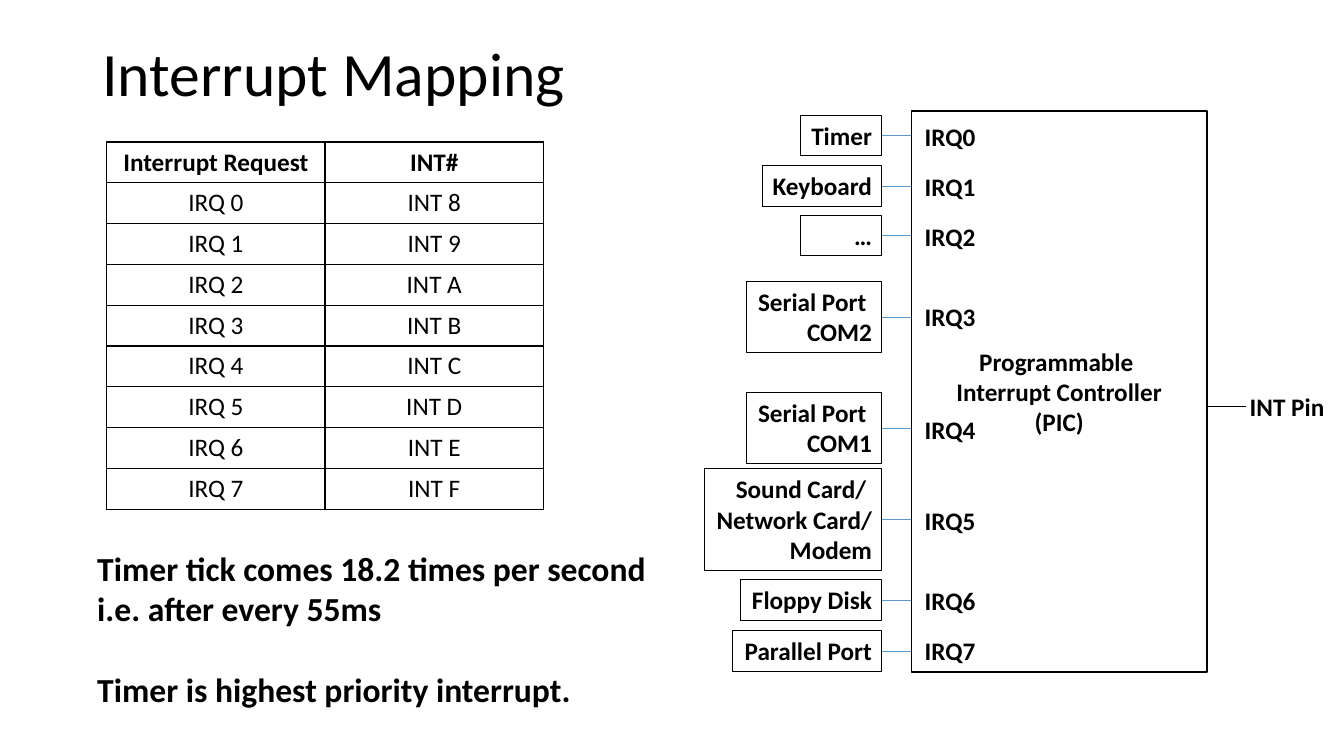
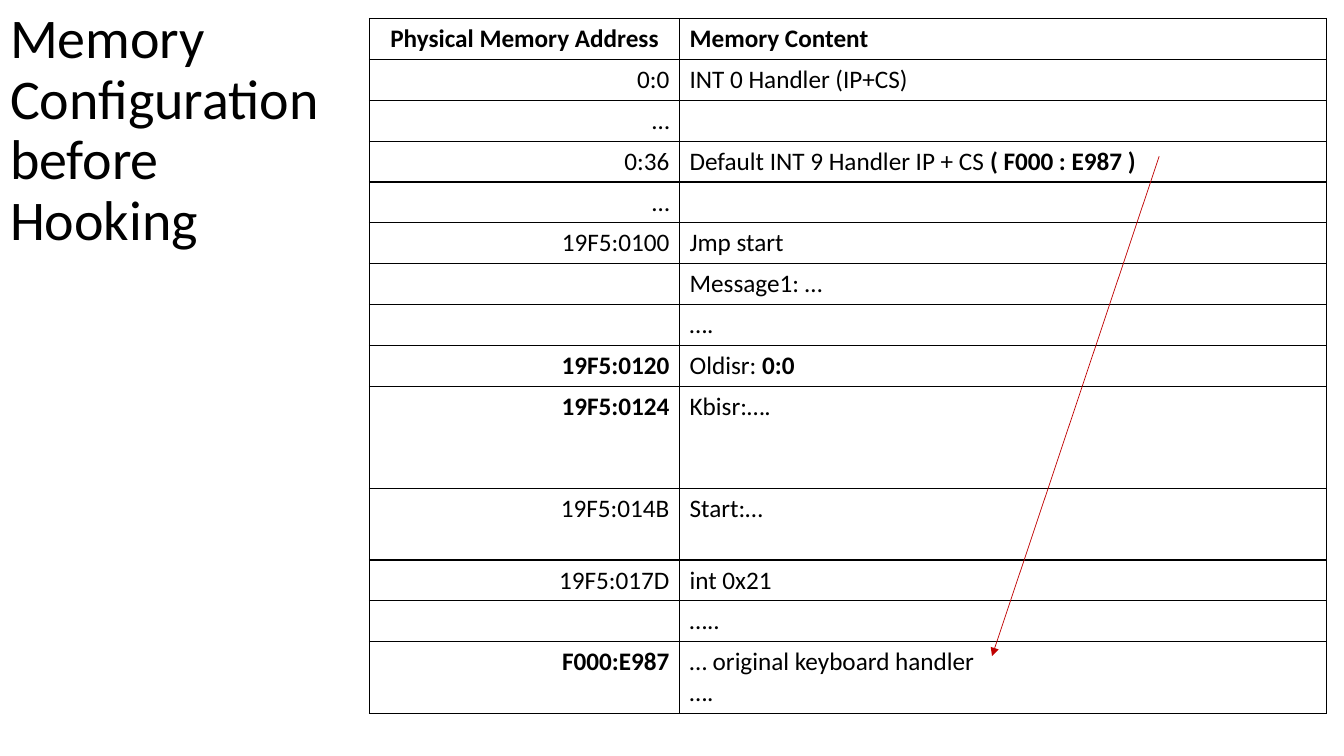
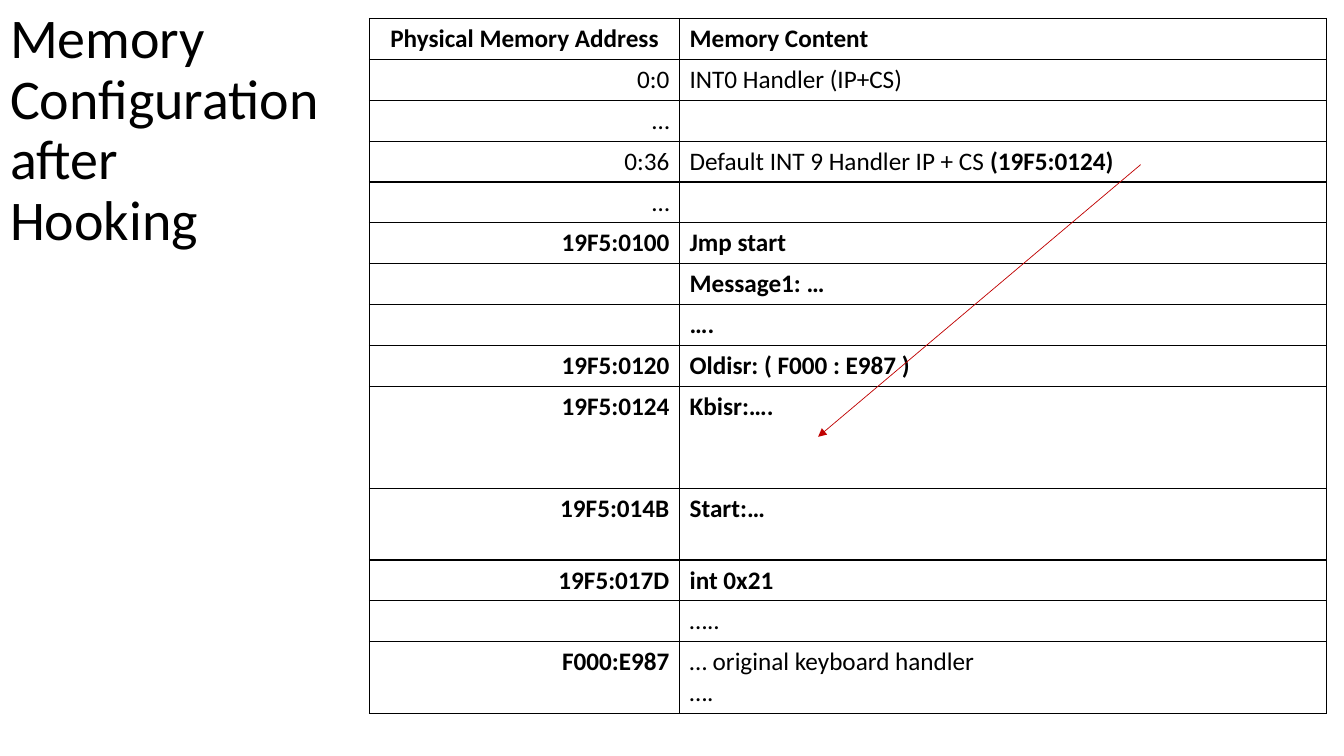
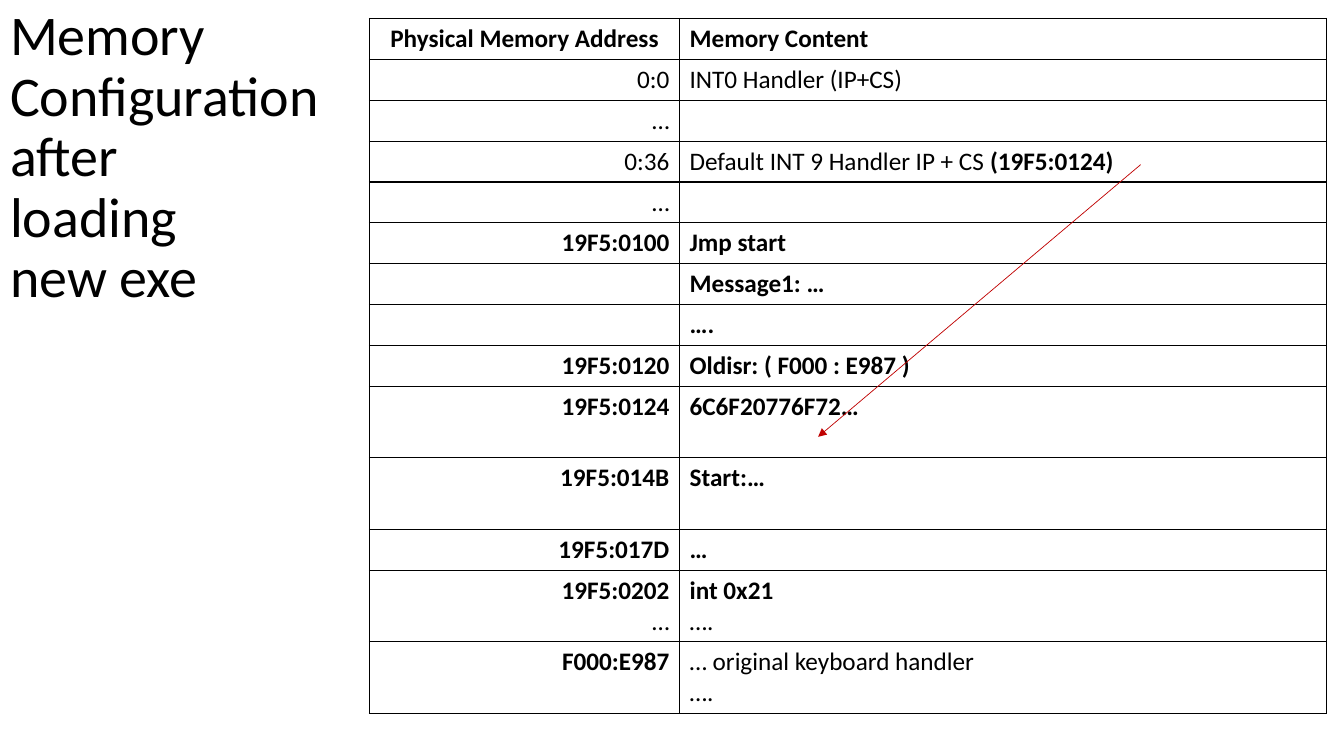
"""Build four slides on interrupt mapping and keyboard hooking."""
from dataclasses import dataclass
from typing import NamedTuple

from pptx import Presentation
from pptx.dml.color import RGBColor as Rgb
from pptx.enum.shapes import MSO_CONNECTOR as Link, MSO_SHAPE as Form
from pptx.enum.text import MSO_ANCHOR as Anchor, MSO_AUTO_SIZE as Fit, PP_ALIGN as Align
from pptx.oxml.ns import qn
from pptx.util import Emu, Inches, Pt
from lxml.etree import SubElement as Sub

INK = {"text": "000000", "paper": "FFFFFF", "wire": "5B9BD5", "jump": "C00000"}
FONT = "Calibri"
WIDE, HIGH = Inches(13.333), Inches(7.5)
COLS, ROWS = 160, 90
LINE, ONE = 3.65, 4.86
EDGE = 105
SIDES = ("a:lnL", "a:lnR", "a:lnT", "a:lnB")


class Area(NamedTuple):
    left: float
    top: float
    width: float
    height: float


class Spot(NamedTuple):
    col: float
    row: float


@dataclass
class Port:
    text: str
    width: float
    top: float
    mark: float


@dataclass
class Row:
    left: str
    right: str
    lines: int = 1


@dataclass
class Page:
    title: str
    height: float
    rows: list[Row]
    start: Spot
    end: Spot


def across(cols: float) -> Emu:
    return Emu(round(WIDE * cols / COLS))


def down(rows: float) -> Emu:
    return Emu(round(HIGH * rows / ROWS))


def place(area: Area) -> tuple:
    return across(area.left), down(area.top), across(area.width), down(area.height)


def tall(lines: int) -> float:
    return ONE + LINE * (lines - 1)


def style(para, size: float, align=Align.LEFT) -> None:
    para.alignment = align
    font = para.font
    font.name, font.size = FONT, Pt(size)
    font.color.rgb = Rgb.from_string(INK["text"])


def write(frame, text: str, size: float = 18, align=Align.LEFT) -> None:
    for num, line in enumerate(text.split("\n")):
        para = frame.paragraphs[0] if num == 0 else frame.add_paragraph()
        style(para, size, align)
        parts = [(part, odd % 2 == 1) for odd, part in enumerate(line.split("*")) if part]
        for part, bold in parts:
            run = para.add_run()
            run.text = part
            if len(parts) > 1:
                run.font.bold = bold
        if len(parts) == 1:
            para.font.bold = parts[0][1]


def bold(text: str) -> str:
    return "\n".join(f"*{line}*" for line in text.split("\n"))


def label(slide, area: Area, text: str, size: float = 18, align=Align.LEFT):
    box = slide.shapes.add_textbox(*place(area))
    frame = box.text_frame
    frame.word_wrap = False
    frame.auto_size = Fit.SHAPE_TO_FIT_TEXT
    write(frame, bold(text), size, align)
    return box


def outline(shape, width: float) -> None:
    shape.line.color.rgb = Rgb.from_string(INK["text"])
    shape.line.width = Pt(width)


def wire(slide, start: Spot, end: Spot, tone: str, head: bool = False):
    line = slide.shapes.add_connector(
        Link.STRAIGHT, across(start.col), down(start.row), across(end.col), down(end.row))
    line.line.color.rgb = Rgb.from_string(INK[tone])
    line.line.width = Pt(0.5)
    if head:
        Sub(line.line._get_or_add_ln(), qn("a:tailEnd"), type="triangle")
    Sub(line._element.spPr, qn("a:effectLst"))
    return line


def border(cell) -> None:
    props = cell._tc.get_or_add_tcPr()
    for side in SIDES:
        edge = Sub(props, qn(side), w=str(Pt(1)))
        Sub(Sub(edge, qn("a:solidFill")), qn("a:srgbClr"), val=INK["text"])


def grid(slide, at: Spot, cols: tuple, rows: list[Row], aligns: tuple, heads: tuple) -> None:
    high = [tall(row.lines) for row in rows]
    area = Area(at.col, at.row, sum(cols), sum(high))
    table = slide.shapes.add_table(len(rows), len(cols), *place(area)).table
    for col, width in zip(table.columns, cols):
        col.width = across(width)
    for num, row in enumerate(rows):
        table.rows[num].height = down(high[num])
        for col, text in enumerate((row.left, row.right)):
            cell = table.cell(num, col)
            border(cell)
            cell.fill.solid()
            cell.fill.fore_color.rgb = Rgb.from_string(INK["paper"])
            write(cell.text_frame, text, align=(aligns if num else heads)[col])


def begin(deck, title: str, area: Area, size: float):
    slide = deck.slides.add_slide(deck.slide_layouts[5])
    head = slide.shapes.title
    head.left, head.top, head.width, head.height = place(area)
    frame = head.text_frame
    frame.text = title
    frame.word_wrap = True
    frame.auto_size = Fit.NONE
    frame.vertical_anchor = Anchor.MIDDLE
    para = frame.paragraphs[0]
    para.line_spacing = 0.9
    style(para, size)
    return slide


PORTS = [
    Port("Timer", 9.7, 13.7, 13.9),
    Port("Keyboard", 14.2, 19.7, 19.8),
    Port("…", 9.7, 25.6, 25.8),
    Port("Serial Port \nCOM2", 16.1, 33.5, 35.3),
    Port("Serial Port \nCOM1", 16.1, 46.7, 48.7),
    Port("Sound Card/ \nNetwork Card/\nModem", 21.1, 55.8, 59.6),
    Port("Floppy Disk", 16.8, 69, 69.1),
    Port("Parallel Port", 17.8, 75.1, 75.1),
]


def mapping(deck) -> None:
    slide = begin(deck, "Interrupt Mapping", Area(11, 0.4, 138, 17.4), 44)
    chip = Area(108.5, 13.2, 35.2, 66.8)
    pic = slide.shapes.add_shape(Form.RECTANGLE, *place(chip))
    pic.shadow.inherit = False
    pic.fill.solid()
    pic.fill.fore_color.rgb = Rgb.from_string(INK["paper"])
    outline(pic, 1)
    pic.text_frame.vertical_anchor = Anchor.MIDDLE
    write(pic.text_frame, bold("Programmable \nInterrupt Controller\n(PIC)"), align=Align.CENTER)
    wire(slide, Spot(chip.left + chip.width, 48.4), Spot(148.3, 48.4), "text")
    label(slide, Area(147.6, 46, 11.4, ONE), "INT Pin")
    for num, port in enumerate(PORTS):
        label(slide, Area(108.9, port.mark, 8.5, ONE), f"IRQ{num}")
        high = tall(port.text.count("\n") + 1)
        area = Area(EDGE - port.width, port.top, port.width, high)
        box = label(slide, area, port.text, align=Align.RIGHT)
        box.text_frame.word_wrap = port.text == "…"
        outline(box, 0.75)
        mid = port.top + high / 2
        wire(slide, Spot(EDGE, mid), Spot(chip.left, mid), "wire").begin_connect(box, 3)
    rows = [Row("*Interrupt Request*", "*INT#*")]
    rows += [Row(f"IRQ {num}", f"INT {num + 8:X}") for num in range(8)]
    both = (Align.CENTER, Align.CENTER)
    grid(slide, Spot(12.7, 16.9), (26, 26), rows, both, both)
    note = label(slide, Area(10.4, 64.6, 68.4, 20.6),
                 "Timer tick comes 18.2 times per second\ni.e. after every 55ms\n"
                 "Timer is highest priority interrupt.", 24)
    note.text_frame.paragraphs[2].space_before = Pt(29)


def layout(first: str, vector: str, body: list[Row]) -> list[Row]:
    return [
        Row("*Physical Memory Address*", "*Memory Content*"),
        Row("0:0", first),
        Row("…", ""),
        Row("0:36", f"Default INT 9 Handler IP + CS *{vector}*"),
        Row("…", ""),
        *body,
        Row("*F000:E987*", "… original keyboard handler\n….", 2),
    ]


BEFORE = [
    Row("19F5:0100", "Jmp start"),
    Row("", "Message1: …"),
    Row("", "…."),
    Row("*19F5:0120*", "Oldisr: *0:0*"),
    Row("*19F5:0124*", "Kbisr:….", 3),
    Row("19F5:014B", "Start:…", 2),
    Row("19F5:017D", "int 0x21"),
    Row("", "….."),
]
HOOKED = [
    Row("*19F5:0100*", "*Jmp start*"),
    Row("", "*Message1: …*"),
    Row("", "*….*"),
    Row("*19F5:0120*", "*Oldisr: ( F000 : E987 )*"),
]
START = Row("*19F5:014B*", "*Start:…*", 2)
AFTER = HOOKED + [
    Row("*19F5:0124*", "*Kbisr:….*", 3),
    START,
    Row("*19F5:017D*", "*int 0x21*"),
    Row("", "….."),
]
LOADED = HOOKED + [
    Row("*19F5:0124*", "*6C6F20776F72…*", 2),
    START,
    Row("*19F5:017D*", "*…*"),
    Row("*19F5:0202*\n…", "*int 0x21*\n….", 2),
]
HOOK = ("INT0 Handler (IP+CS)", "(19F5:0124)")
FROM, TO = Spot(135.8, 19.6), Spot(97.4, 52)
PAGES = [
    Page("Memory Configuration before Hooking", 31.3,
         layout("INT 0 Handler (IP+CS)", "( F000 : E987 )", BEFORE),
         Spot(138, 18.6), Spot(118.1, 78.1)),
    Page("Memory Configuration after\vHooking", 31.3, layout(*HOOK, AFTER), FROM, TO),
    Page("Memory Configuration after\vloading\vnew exe", 37.8, layout(*HOOK, LOADED), FROM, TO),
]


def memory(deck, page: Page) -> None:
    slide = begin(deck, page.title, Area(0, 0, 42.1, page.height), 40)
    grid(slide, Spot(44, 2.2), (36.9, 77), page.rows,
         (Align.RIGHT, Align.LEFT), (Align.CENTER, Align.LEFT))
    wire(slide, page.start, page.end, "jump", True)


def main() -> None:
    deck = Presentation()
    deck.slide_width, deck.slide_height = WIDE, HIGH
    mapping(deck)
    for page in PAGES:
        memory(deck, page)
    deck.save("out.pptx")


if __name__ == "__main__":
    main()
